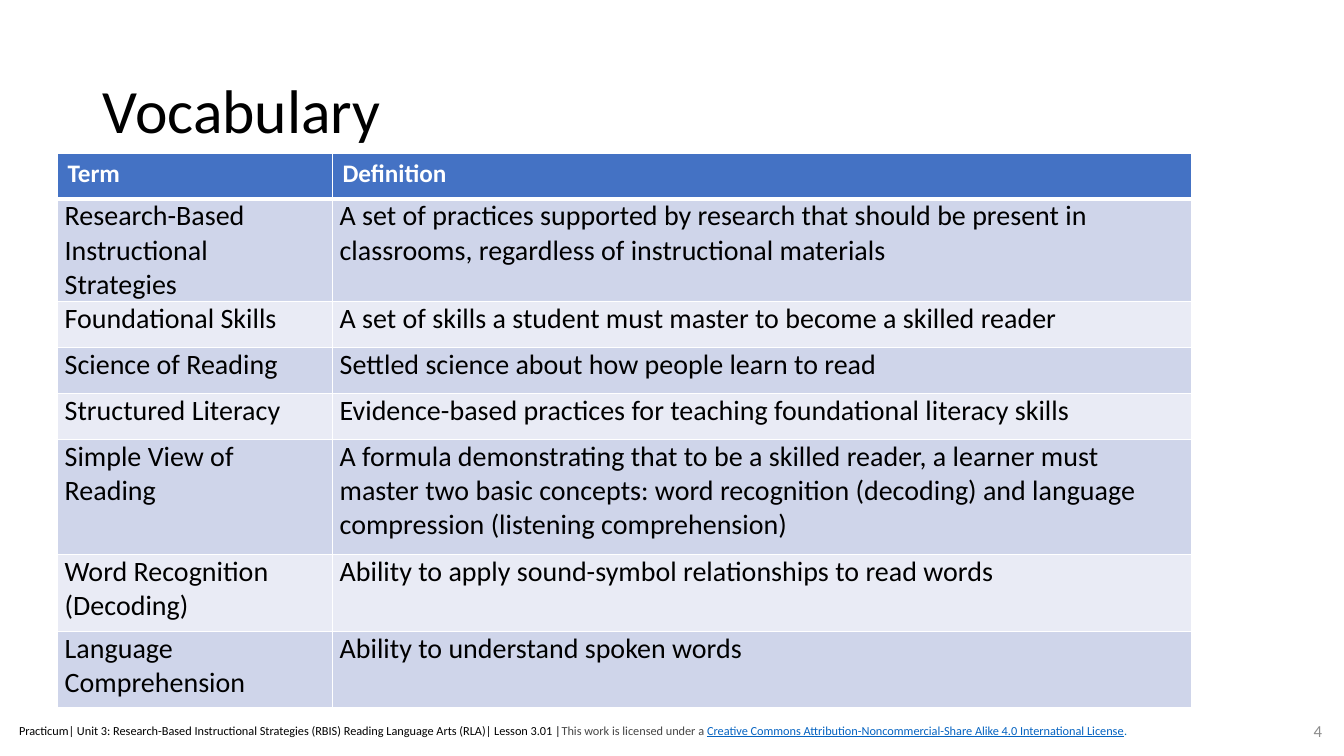
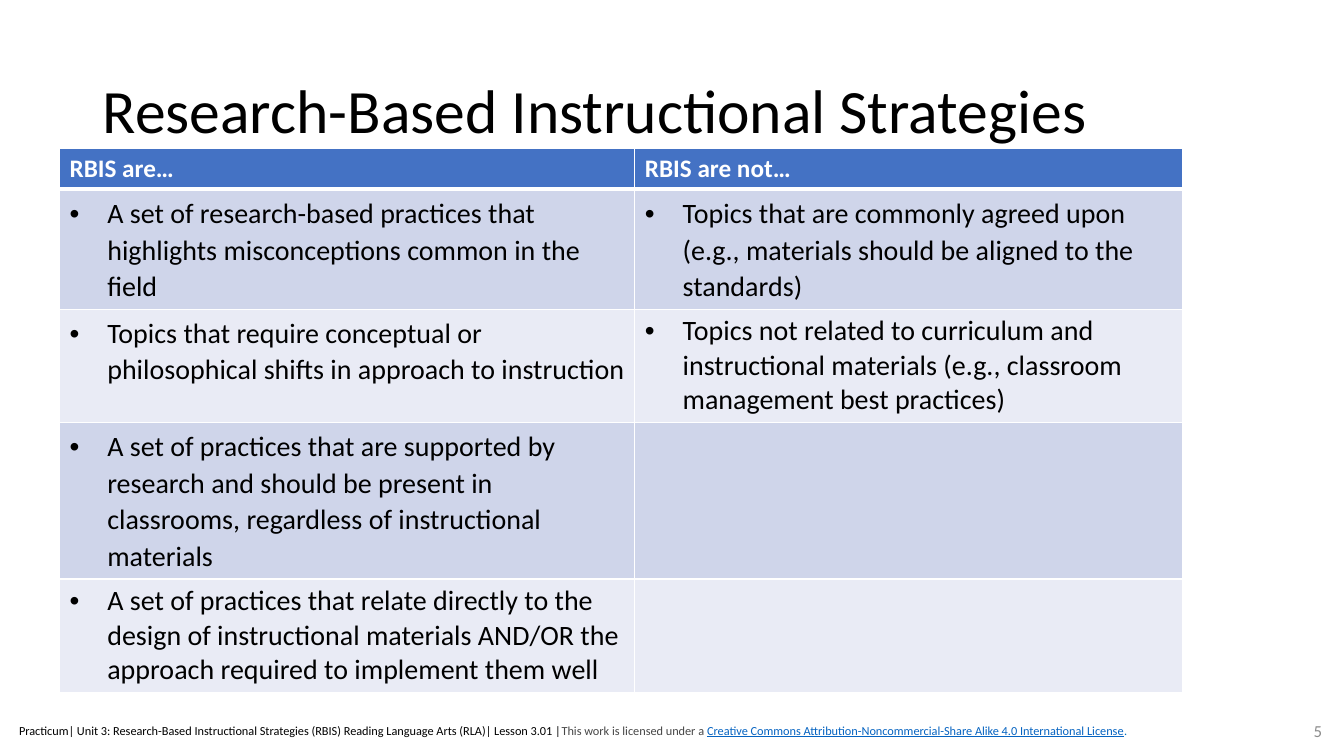
from lxml import etree
from pptx import Presentation
from pptx.dml.color import RGBColor
from pptx.enum.text import MSO_ANCHOR, PP_ALIGN
from pptx.oxml.ns import qn
from pptx.util import Cm, Pt

MIDDLE = MSO_ANCHOR.MIDDLE
LEFT, RIGHT = PP_ALIGN.LEFT, PP_ALIGN.RIGHT

FONT = "Calibri"
BLACK, WHITE, GREY, NUMBER_GREY = "000000", "FFFFFF", "464646", "8C8C8C"
LINK_BLUE, STOP_BLUE = "0563C1", "0070C0"
HEADER_BLUE = "4472C4"
BANDS = ("CFD5EA", "E9EBF5")

TITLE_BOX = (2.34, 1.02, 29.21, 3.68)
FOOTER_BOX = (0.23, 18.01, 31.55, 0.84)
NUMBER_BOX = (25.95, 17.91, 7.62, 1.02)

FOOTER_RUNS = (
    ("Practicum| Unit 3: Research-Based Instructional Strategies (RBIS) "
     "Reading Language Arts (RLA)| Lesson 3.01 |", BLACK, False),
    ("This work is licensed under a ", GREY, False),
    ("Creative Commons Attribution-Noncommercial-Share Alike 4.0 "
     "International License", LINK_BLUE, True),
    (".", STOP_BLUE, False),
)

VOCABULARY = (
    ("Term", "Definition"),
    ("Research-Based Instructional Strategies",
     "A set of practices supported by research that should be present in "
     "classrooms, regardless of instructional materials"),
    ("Foundational Skills",
     "A set of skills a student must master to become a skilled reader"),
    ("Science of Reading", "Settled science about how people learn to read"),
    ("Structured Literacy",
     "Evidence-based practices for teaching foundational literacy skills"),
    ("Simple View of Reading",
     "A formula demonstrating that to be a skilled reader, a learner must "
     "master two basic concepts: word recognition (decoding) and language "
     "compression (listening comprehension)"),
    ("Word Recognition (Decoding)",
     "Ability to apply sound-symbol relationships to read words"),
    ("Language Comprehension", "Ability to understand spoken words"),
)

STRATEGIES = (
    ("RBIS are…", "RBIS are not…"),
    ("A set of research-based practices that highlights misconceptions "
     "common in the field",
     "Topics that are commonly agreed upon (e.g., materials should be "
     "aligned to the standards)"),
    ("Topics that require conceptual or philosophical shifts in approach "
     "to instruction",
     "Topics not related to curriculum and instructional materials (e.g., "
     "classroom management best practices)"),
    ("A set of practices that are supported by research and should be "
     "present in classrooms, regardless of instructional materials", ""),
    ("A set of practices that relate directly to the design of "
     "instructional materials AND/OR the approach required to implement "
     "them well", ""),
)
SINGLE_SPACED = {(2, 1), (4, 0)}


def rgb(color):
    return RGBColor.from_string(color)


def style(paragraph, size, color=None, bold=None):
    font = paragraph.font
    font.name, font.size, font.bold = FONT, Pt(size), bold
    if color:
        font.color.rgb = rgb(color)


def add_text(slide, box, size, runs, align=LEFT, spacing=None):
    """Place one vertically centred paragraph of (text, colour, underline) runs."""
    frame = slide.shapes.add_textbox(*map(Cm, box)).text_frame
    frame.word_wrap = True
    frame.vertical_anchor = MIDDLE
    paragraph = frame.paragraphs[0]
    paragraph.alignment = align
    paragraph.line_spacing = spacing
    style(paragraph, size)
    for text, color, underlined in runs:
        run = paragraph.add_run()
        run.text = text
        run.font.color.rgb = rgb(color)
        if underlined:
            run.font.underline = True


def add_slide(prs, title, number):
    slide = prs.slides.add_slide(prs.slide_layouts[6])
    add_text(slide, TITLE_BOX, 44, [(title, BLACK, False)], spacing=0.9)
    add_text(slide, NUMBER_BOX, 12, [(str(number), NUMBER_GREY, False)], RIGHT)
    add_text(slide, FOOTER_BOX, 8.8, FOOTER_RUNS, spacing=0.9)
    return slide


def border(cell, widths):
    """Draw white cell edges; widths maps L, R, T, B (in that order) to points."""
    properties = cell._tc.get_or_add_tcPr()
    for side, width in widths.items():
        line = etree.SubElement(properties, qn(f"a:ln{side}"), w=str(Pt(width)))
        fill = etree.SubElement(line, qn("a:solidFill"))
        etree.SubElement(fill, qn("a:srgbClr"), val=WHITE)


def bullet(paragraph, indent):
    properties = paragraph._p.get_or_add_pPr()
    properties.set("marL", str(Cm(indent)))
    properties.set("indent", str(-Cm(indent)))
    etree.SubElement(properties, qn("a:buFont"), typeface="Arial")
    etree.SubElement(properties, qn("a:buChar"), char="•")


def add_banded_table(slide, left, top, widths, heights, rows, format_body):
    """Build a header and banded rows; format_body(cell, row, column) sets body text."""
    table = slide.shapes.add_table(
        len(rows), len(widths), Cm(left), Cm(top),
        Cm(sum(widths)), Cm(sum(heights))).table
    table.horz_banding = False
    for column, width in zip(table.columns, widths):
        column.width = Cm(width)
    for r, (texts, height) in enumerate(zip(rows, heights)):
        table.rows[r].height = Cm(height)
        for c, text in enumerate(texts):
            cell = table.cell(r, c)
            border(cell, {"L": 1, "R": 1, "B": 1} if r
                   else {"L": 1, "R": 1, "T": 1, "B": 3})
            cell.fill.solid()
            cell.fill.fore_color.rgb = rgb(BANDS[(r - 1) % 2] if r else HEADER_BLUE)
            cell.text = text
            paragraph = cell.text_frame.paragraphs[0]
            if not r:
                style(paragraph, 18, WHITE, True)
            elif text:
                format_body(cell, r, c)
                style(paragraph, 20, BLACK, False)


def format_definition(cell, row, column):
    cell.margin_left = cell.margin_right = Cm(0.18)
    cell.margin_top = cell.margin_bottom = 0
    paragraph = cell.text_frame.paragraphs[0]
    paragraph.space_before = paragraph.space_after = Pt(12)


def format_strategy(cell, row, column):
    paragraph = cell.text_frame.paragraphs[0]
    bullet(paragraph, 0.95)
    if (row, column) not in SINGLE_SPACED:
        paragraph.line_spacing = 1.07


def vocabulary_slide(prs):
    slide = add_slide(prs, "Vocabulary", 4)
    heights = (1.16, 2.58, 1.16, 1.16, 1.16, 2.9, 1.93, 1.93)
    add_banded_table(slide, 1.45, 3.86, (6.93, 21.64), heights,
                     VOCABULARY, format_definition)


def strategies_slide(prs):
    slide = add_slide(prs, "Research-Based Instructional Strategies", 5)
    heights = (1.04, 3.02, 2.85, 3.95, 2.85)
    add_banded_table(slide, 1.5, 3.73, (14.5, 13.79), heights,
                     STRATEGIES, format_strategy)


def main():
    prs = Presentation()
    prs.slide_width, prs.slide_height = Cm(33.87), Cm(19.05)
    vocabulary_slide(prs)
    strategies_slide(prs)
    prs.save("out.pptx")


if __name__ == "__main__":
    main()
